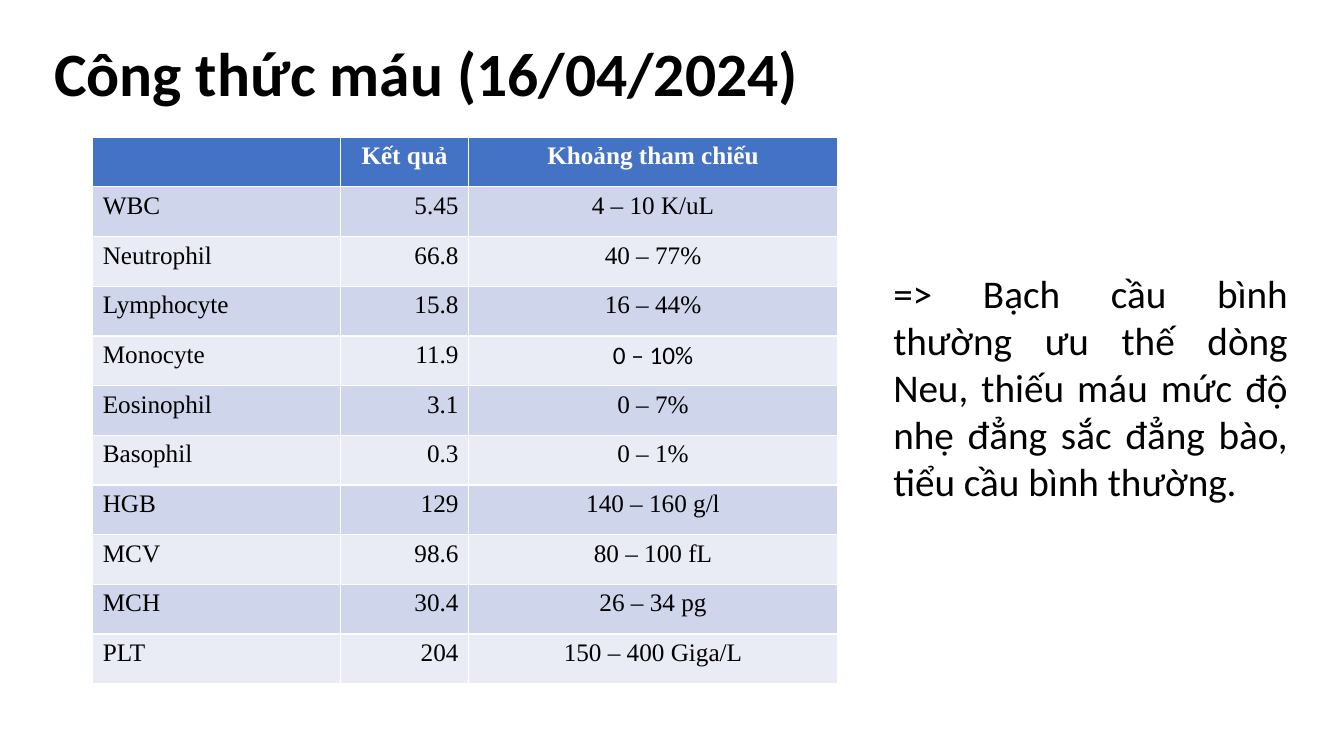
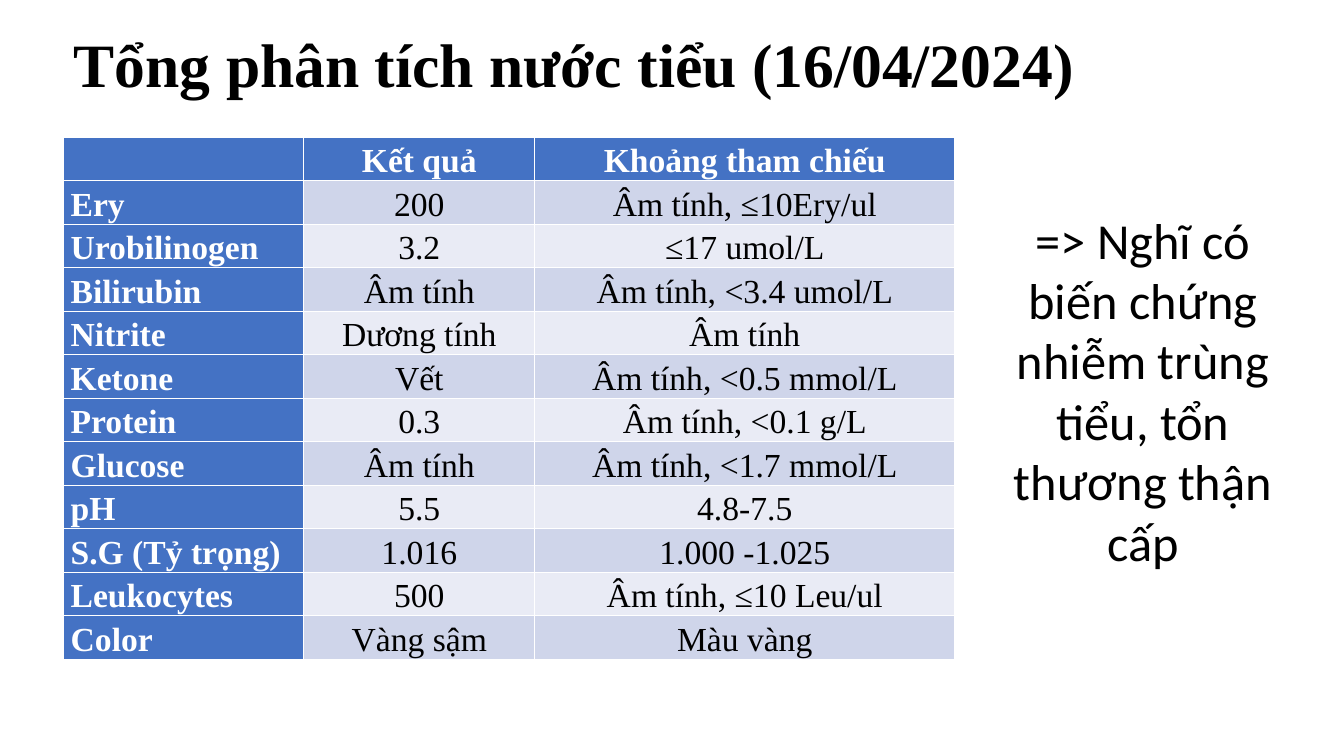
from dataclasses import dataclass, field
from typing import Any

from pptx import Presentation
from pptx.dml.color import RGBColor
from pptx.enum.text import MSO_ANCHOR as Anchor
from pptx.enum.text import MSO_AUTO_SIZE as AutoSize
from pptx.enum.text import PP_ALIGN as Align
from pptx.util import Pt

SANS, SERIF = "Calibri", "Times New Roman"
BLACK, WHITE, BLUE = "000000", "FFFFFF", "4472C4"
BANDS = ("CFD5EA", "E9EBF5")
HEADER = ("", "Kết quả", "Khoảng tham chiếu")
TITLE_SIZE = 44
TITLE_ONLY = 5


@dataclass
class Note:
    text: str
    frame: tuple[float, float, float, float]
    size: float
    align: Align


@dataclass
class LabTable:
    rows: list[tuple[str, str, str]]
    left: float
    columns: tuple[float, float, float]
    row_height: float
    size: float
    aligns: tuple[Align, Align, Align]
    label_fill: bool = False
    cell_format: dict[str, Any] = field(default_factory=dict)
    para_format: dict[str, Any] = field(default_factory=dict)
    font_overrides: dict[str, str] = field(default_factory=dict)
    top: float = 98


@dataclass
class LabPage:
    title: str
    title_font: str
    title_frame: tuple[float, float, float, float]
    title_format: dict[str, Any]
    table: LabTable
    note: Note


PAGES = [
    LabPage(
        "Công thức máu (16/04/2024)", SANS, (31.5, 21, 843, 60.5),
        {"alignment": Align.LEFT, "line_spacing": 1.0},
        LabTable(
            [
                ("WBC", "5.45", "4 – 10 K/uL"),
                ("Neutrophil", "66.8", "40 – 77%"),
                ("Lymphocyte", "15.8", "16 – 44%"),
                ("Monocyte", "11.9", "0 – 10%"),
                ("Eosinophil", "3.1", "0 – 7%"),
                ("Basophil", "0.3", "0 – 1%"),
                ("HGB", "129", "140 – 160 g/l"),
                ("MCV", "98.6", "80 – 100 fL"),
                ("MCH", "30.4", "26 – 34 pg"),
                ("PLT", "204", "150 – 400 Giga/L"),
            ],
            left=66.25, columns=(177, 91.5, 263.5), row_height=35.5, size=18,
            aligns=(Align.LEFT, Align.RIGHT, Align.CENTER),
            font_overrides={"0 – 10%": SANS},
        ),
        Note("=> Bạch cầu bình thường ưu thế dòng Neu, thiếu máu mức độ nhẹ "
             "đẳng sắc đẳng bào, tiểu cầu bình thường.",
             (631, 188.5, 296, 177), 28, Align.JUSTIFY),
    ),
    LabPage(
        "Tổng phân tích nước tiểu (16/04/2024)", SERIF, (45.5, 17.5, 828, 61),
        {"alignment": Align.JUSTIFY, "line_spacing": 0.9},
        LabTable(
            [
                ("Ery", "200", "Âm tính, ≤10Ery/ul"),
                ("Urobilinogen", "3.2", "≤17 umol/L"),
                ("Bilirubin", "Âm tính", "Âm tính, <3.4 umol/L"),
                ("Nitrite", "Dương tính", "Âm tính"),
                ("Ketone", "Vết", "Âm tính, <0.5 mmol/L"),
                ("Protein", "0.3", "Âm tính, <0.1 g/L"),
                ("Glucose", "Âm tính", "Âm tính, <1.7 mmol/L"),
                ("pH", "5.5", "4.8-7.5"),
                ("S.G (Tỷ trọng)", "1.016", "1.000 -1.025"),
                ("Leukocytes", "500", "Âm tính, ≤10 Leu/ul"),
                ("Color", "Vàng sậm", "Màu vàng"),
            ],
            left=45.5, columns=(171.5, 165, 300), row_height=31.08, size=24,
            aligns=(Align.LEFT, Align.CENTER, Align.CENTER),
            label_fill=True,
            cell_format={"margin_left": Pt(5), "margin_right": Pt(5),
                         "margin_top": Pt(0), "margin_bottom": Pt(0)},
            para_format={"line_spacing": 1.15},
        ),
        Note("=> Nghĩ có biến chứng nhiễm trùng tiểu, tổn thương thận cấp",
             (708.5, 145.5, 216, 269), 36, Align.CENTER),
    ),
]


def rgb(value: str) -> RGBColor:
    return RGBColor.from_string(value)


def apply_format(target: Any, values: dict[str, Any]) -> None:
    for name, value in values.items():
        setattr(target, name, value)


def write_text(text_frame: Any, text: str, font: str, size: float,
               para_format: dict[str, Any], color: str = BLACK,
               bold: bool = False) -> None:
    para = text_frame.paragraphs[0]
    apply_format(para, para_format)
    span = para.add_run()
    span.text = text
    apply_format(span.font, {"name": font, "size": Pt(size), "bold": bold})
    span.font.color.rgb = rgb(color)


def add_title(page: Any, lab: LabPage) -> None:
    box = page.shapes.title
    sides = ("left", "top", "width", "height")
    apply_format(box, dict(zip(sides, map(Pt, lab.title_frame))))
    apply_format(box.text_frame, {"word_wrap": True, "auto_size": AutoSize.NONE,
                                  "vertical_anchor": Anchor.MIDDLE})
    write_text(box.text_frame, lab.title, lab.title_font, TITLE_SIZE,
               lab.title_format, bold=True)


def add_lab_table(page: Any, lab: LabTable) -> None:
    """Draw a header row and banded rows; the table style rules them in white."""
    rows = [HEADER, *lab.rows]
    grid = page.shapes.add_table(
        len(rows), len(HEADER), Pt(lab.left), Pt(lab.top),
        Pt(sum(lab.columns)), Pt(lab.row_height * len(rows))).table
    for column, width in zip(grid.columns, lab.columns):
        column.width = Pt(width)
    for row_index, texts in enumerate(rows):
        grid.rows[row_index].height = Pt(lab.row_height)
        for column_index, text in enumerate(texts):
            cell = grid.cell(row_index, column_index)
            is_header = row_index == 0
            accent = is_header or (lab.label_fill and column_index == 0)
            apply_format(cell, lab.cell_format)
            cell.fill.solid()
            cell.fill.fore_color.rgb = rgb(
                BLUE if accent else BANDS[(row_index - 1) % len(BANDS)])
            if text:
                align = Align.CENTER if is_header else lab.aligns[column_index]
                write_text(cell.text_frame, text,
                           lab.font_overrides.get(text, SERIF), lab.size,
                           {"alignment": align, **lab.para_format},
                           WHITE if accent else BLACK, accent)


def add_note(page: Any, note: Note) -> None:
    box = page.shapes.add_textbox(*map(Pt, note.frame))
    apply_format(box.text_frame, {"word_wrap": True,
                                  "auto_size": AutoSize.SHAPE_TO_FIT_TEXT})
    write_text(box.text_frame, note.text, SANS, note.size,
               {"alignment": note.align})


def main() -> None:
    deck = Presentation()
    apply_format(deck, {"slide_width": Pt(960), "slide_height": Pt(540)})
    for lab in PAGES:
        page = deck.slides.add_slide(deck.slide_layouts[TITLE_ONLY])
        add_title(page, lab)
        add_lab_table(page, lab.table)
        add_note(page, lab.note)
    deck.save("out.pptx")


if __name__ == "__main__":
    main()
